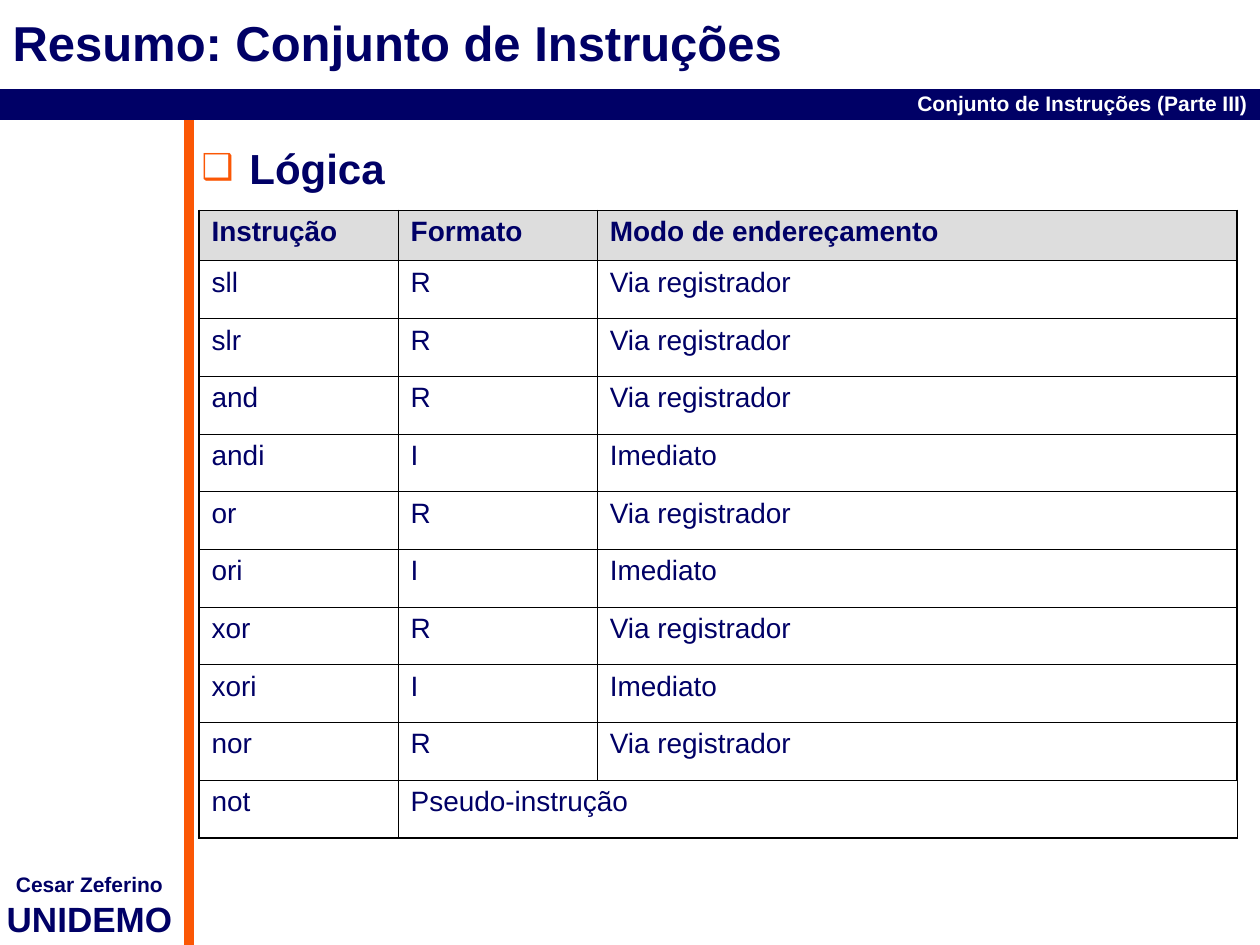
from lxml.etree import SubElement
from pptx import Presentation
from pptx.dml.color import RGBColor
from pptx.enum.shapes import MSO_CONNECTOR
from pptx.enum.text import MSO_ANCHOR, MSO_AUTO_SIZE, PP_ALIGN
from pptx.oxml.ns import qn
from pptx.util import Inches, Pt

NAVY, ORANGE, GRAY, WHITE, BLACK = "000066", "FB5705", "DDDDDD", "FFFFFF", "000000"
TITLE = "Resumo: Conjunto de Instruções"
SECTION = "Conjunto de Instruções (Parte III)"
TOPIC = "Lógica"
AUTHOR, SCHOOL = "Cesar Zeferino", "UNIDEMO"
HEADER = ("Instrução", "Formato", "Modo de endereçamento")
MODES = {"R": "Via registrador", "I": "Imediato"}
INSTRUCTIONS = [
    ("sll", "R"), ("slr", "R"), ("and", "R"), ("andi", "I"), ("or", "R"),
    ("ori", "I"), ("xor", "R"), ("xori", "I"), ("nor", "R"),
]
PSEUDO = ("not", "Pseudo-instrução", "")
COLUMNS = (1.58, 1.58, 5.08)
TABLE_HEIGHT, HEADER_HEIGHT = 4.98, 0.4
THIN, THICK = 0.45, 1.08


def color(value):
    return RGBColor.from_string(value)


def write(para, text, size=16, ink=NAVY, bold=True, align=PP_ALIGN.LEFT, before=0):
    para.alignment = align
    para.space_before = Pt(before)
    span = para.add_run()
    span.text = text
    span.font.name = "Arial"
    span.font.size = Pt(size)
    span.font.bold = bold
    span.font.color.rgb = color(ink)


def set_frame(frame, side=0.1, anchor=MSO_ANCHOR.TOP):
    frame.word_wrap = True
    frame.auto_size = MSO_AUTO_SIZE.NONE
    frame.vertical_anchor = anchor
    frame.margin_left = frame.margin_right = Inches(side)
    frame.margin_top = frame.margin_bottom = Inches(0.05)
    return frame


def place(shape, *bounds):
    shape.left, shape.top, shape.width, shape.height = map(Inches, bounds)


def add_line(page, start, end, ink, width):
    line = page.shapes.add_connector(MSO_CONNECTOR.STRAIGHT, *map(Inches, start + end))
    line.line.color.rgb = color(ink)
    line.line.width = Pt(width)
    SubElement(line._element.spPr, qn("a:effectLst"))


def add_bullet(para, char, ink, percent, indent):
    props = para._p.get_or_add_pPr()
    props.set("marL", str(Inches(indent)))
    props.set("indent", str(-Inches(indent)))
    SubElement(SubElement(props, qn("a:buClr")), qn("a:srgbClr"), val=ink)
    SubElement(props, qn("a:buSzPct"), val=str(percent * 1000))
    SubElement(props, qn("a:buFont"), typeface="Arial")
    SubElement(props, qn("a:buChar"), char=char)


def set_borders(cell, widths):
    props = cell._tc.get_or_add_tcPr()
    for index, (side, width) in enumerate(zip("LRTB", widths)):
        border = SubElement(props, qn(f"a:ln{side}"), w=str(Pt(width)))
        SubElement(SubElement(border, qn("a:solidFill")), qn("a:srgbClr"), val=BLACK)
        props.insert(index, border)


def add_instruction_table(page):
    rows = [HEADER, *((name, kind, MODES[kind]) for name, kind in INSTRUCTIONS), PSEUDO]
    last_row, last_column = len(rows) - 1, len(COLUMNS) - 1
    bounds = map(Inches, (1.58, 1.67, sum(COLUMNS), TABLE_HEIGHT))
    table = page.shapes.add_table(len(rows), len(COLUMNS), *bounds).table
    table.first_row = table.horz_banding = False
    for column, width in zip(table.columns, COLUMNS):
        column.width = Inches(width)
    for r, values in enumerate(rows):
        body_height = (TABLE_HEIGHT - HEADER_HEIGHT) / last_row
        table.rows[r].height = Inches(body_height if r else HEADER_HEIGHT)
        for c, text in enumerate(values):
            cell = table.cell(r, c)
            if r:
                cell.fill.background()
            else:
                cell.fill.solid()
                cell.fill.fore_color.rgb = color(GRAY)
            outer = (c == 0, c == last_column, r == 0, r == last_row)
            set_borders(cell, [THICK if edge else THIN for edge in outer])
            if text:
                write(cell.text_frame.paragraphs[0], text, bold=r == 0, before=16)
    table.cell(last_row, 1).merge(table.cell(last_row, last_column))


def main():
    """Build the instruction set summary slide."""
    deck = Presentation()
    deck.slide_width, deck.slide_height = Inches(10), Inches(7.5)
    page = deck.slides.add_slide(deck.slide_layouts[1])

    add_line(page, (1.5, 0.92), (1.5, 7.5), ORANGE, 6)
    add_line(page, (0, 0.83), (10, 0.83), NAVY, 18)

    section = page.shapes.add_textbox(*map(Inches, (0, 0.67, 10, 0.25)))
    para = set_frame(section.text_frame).paragraphs[0]
    write(para, SECTION, size=12, ink=WHITE, align=PP_ALIGN.RIGHT)

    credit = page.shapes.add_textbox(*map(Inches, (0, 6.87, 1.42, 0.64)))
    frame = set_frame(credit.text_frame, side=0)
    write(frame.paragraphs[0], AUTHOR, size=12, align=PP_ALIGN.CENTER)
    write(frame.add_paragraph(), SCHOOL, size=20, align=PP_ALIGN.CENTER)

    title, body = page.placeholders
    place(title, 0, 0, 10, 0.67)
    frame = set_frame(title.text_frame, anchor=MSO_ANCHOR.MIDDLE)
    write(frame.paragraphs[0], TITLE, size=28)

    place(body, 1.5, 1.08, 8.5, 6.25)
    para = set_frame(body.text_frame).paragraphs[0]
    write(para, TOPIC, size=24, before=24)
    add_bullet(para, "❑", ORANGE, 85, 0.38)

    add_instruction_table(page)
    deck.save("out.pptx")


if __name__ == "__main__":
    main()
